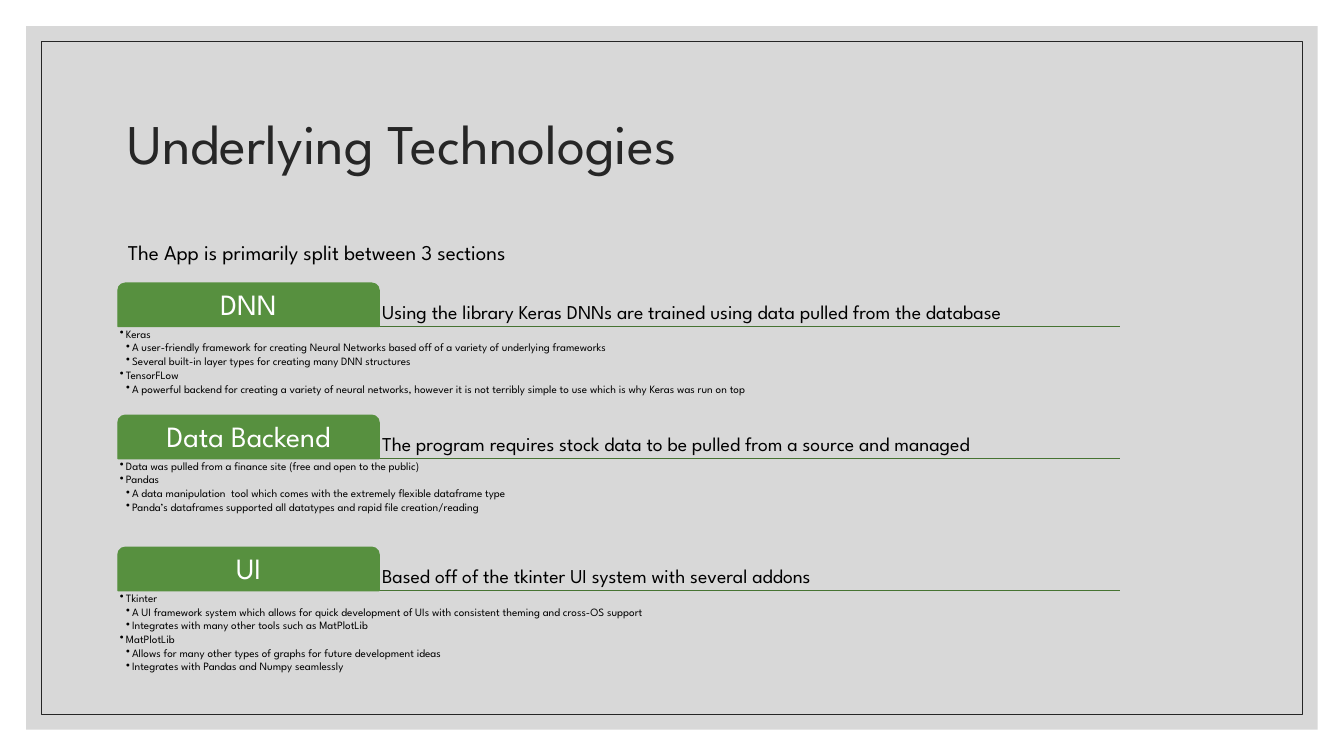
from lxml import etree
from pptx import Presentation
from pptx import util as u
from pptx.dml.color import RGBColor
from pptx.enum import shapes, text
from pptx.oxml import ns

TITLE = "Underlying Technologies"
INTRO = "The App is primarily split between 3 sections"
SECTIONS = [
    ("DNN", "Using the library Keras DNNs are trained using data pulled from the database", [
        (1, "Keras"),
        (2, "A user-friendly framework for creating Neural Networks based off of a variety of underlying frameworks"),
        (2, "Several built-in layer types for creating many DNN structures"),
        (1, "TensorFLow"),
        (2, "A powerful backend for creating a variety of neural networks, however it is not terribly simple to use "
            "which is why Keras was run on top"),
    ]),
    ("Data Backend", "The program requires stock data to be pulled from a source and managed", [
        (1, "Data was pulled from a finance site (free and open to the public)"),
        (1, "Pandas"),
        (2, "A data manipulation  tool which comes with the extremely flexible dataframe type"),
        (2, "Panda’s dataframes supported all datatypes and rapid file creation/reading"),
    ]),
    ("UI", "Based off of the tkinter UI system with several addons", [
        (1, "Tkinter"),
        (2, "A UI framework system which allows for quick development of UIs with consistent theming "
            "and cross-OS support"),
        (2, "Integrates with many other tools such as MatPlotLib"),
        (1, "MatPlotLib"),
        (2, "Allows for many other types of graphs for future development ideas"),
        (2, "Integrates with Pandas and Numpy seamlessly"),
    ]),
]
COLORS = {"panel": "BFBFBF", "frame": "262626", "tab": "57903F", "rule": "467332",
          "text": "000000", "tab text": "FFFFFF"}
FONT = "League Spartan"
WIDTH, HEIGHT = 13.33, 7.5
LEFT, LIST_WIDTH, TAB_WIDTH = 1.17, 9.94, 2.59
FIRST_TOP, PITCH, TAB_HEIGHT = 2.81, 1.31, 0.43
LIST_HEIGHT = 2 * TAB_HEIGHT
INDENT = 0.06

presentation = Presentation()
presentation.slide_width, presentation.slide_height = u.Inches(WIDTH), u.Inches(HEIGHT)
slide = presentation.slides.add_slide(presentation.slide_layouts[6])


def color(name):
    return RGBColor.from_string(COLORS[name])


def inches(*lengths):
    return [u.Inches(length) for length in lengths]


def add_block(kind, *box, fill=None, line=None, line_width=1):
    shape = slide.shapes.add_shape(kind, *inches(*box))
    shape.shadow.inherit = False
    if fill:
        shape.fill.solid()
        shape.fill.fore_color.rgb = color(fill)
    else:
        shape.fill.background()
    if line:
        shape.line.color.rgb = color(line)
        shape.line.width = u.Pt(line_width)
    else:
        shape.line.fill.background()
    return shape


def add_text(*box):
    return slide.shapes.add_textbox(*inches(*box))


def write(shape, lines, size, ink="text", anchor="TOP", align="LEFT", margin=None, spacing=0.9, before=0, after=0):
    frame = shape.text_frame
    frame.word_wrap = True
    frame.vertical_anchor = text.MSO_ANCHOR[anchor]
    if margin is not None:
        frame.margin_left = frame.margin_top = frame.margin_right = frame.margin_bottom = u.Inches(margin)
    frame.text = "\n".join(lines)
    for paragraph in frame.paragraphs:
        paragraph.alignment = text.PP_ALIGN[align]
        paragraph.line_spacing = spacing
        paragraph.space_before, paragraph.space_after = u.Pt(before), u.Pt(after)
        paragraph.font.name, paragraph.font.size = FONT, u.Pt(size)
        paragraph.font.color.rgb = color(ink)
    return frame


def add_bullet(paragraph, level):
    paragraph.level = level
    properties = paragraph._p.get_or_add_pPr()
    properties.set("marL", str(u.Inches(level * INDENT)))
    properties.set("indent", str(-u.Inches(INDENT)))
    bullet = etree.Element(ns.qn("a:buChar"), char="•")
    properties.find(ns.qn("a:spcAft")).addnext(bullet)


def add_rule(y):
    rule = slide.shapes.add_connector(shapes.MSO_CONNECTOR.STRAIGHT, *inches(LEFT, y, LEFT + LIST_WIDTH, y))
    rule.line.color.rgb = color("rule")
    rule.line.width = u.Pt(1)
    etree.SubElement(rule._element.spPr, ns.qn("a:effectLst"))


def add_section(top, name, summary, points):
    baseline = top + TAB_HEIGHT
    add_rule(baseline)
    write(add_text(LEFT + TAB_WIDTH, top, LIST_WIDTH - TAB_WIDTH, TAB_HEIGHT), [summary], 14,
          anchor="BOTTOM", margin=0.03)
    tab = add_block(shapes.MSO_SHAPE.ROUND_2_SAME_RECTANGLE, LEFT, top, TAB_WIDTH, TAB_HEIGHT,
                    fill="tab", line="tab")
    write(tab, [name], 21, "tab text", "MIDDLE", "CENTER", margin=0.04)
    frame = write(add_text(LEFT, baseline, LIST_WIDTH, LIST_HEIGHT), [line for _, line in points], 8,
                  margin=0.02, after=1.2)
    for paragraph, (level, _) in zip(frame.paragraphs, points):
        add_bullet(paragraph, level)


def add_inset(margin, **style):
    return add_block(shapes.MSO_SHAPE.RECTANGLE, margin, margin, WIDTH - 2 * margin, HEIGHT - 2 * margin, **style)


panel = add_inset(0.26, fill="panel")
panel_color = panel._element.spPr.find(ns.qn("a:solidFill"))[0]
etree.SubElement(panel_color, ns.qn("a:alpha"), val="60000")
add_inset(0.41, line="frame", line_width=0.5)

write(add_text(LEFT, 0.7, 11, 1.5), [TITLE], 40, "frame", "MIDDLE")
write(add_text(LEFT, 2.3, 11, 0.45), [INTRO], 15, spacing=1.1, before=9)
for row, section in enumerate(SECTIONS):
    add_section(FIRST_TOP + row * PITCH, *section)

presentation.save("out.pptx")
